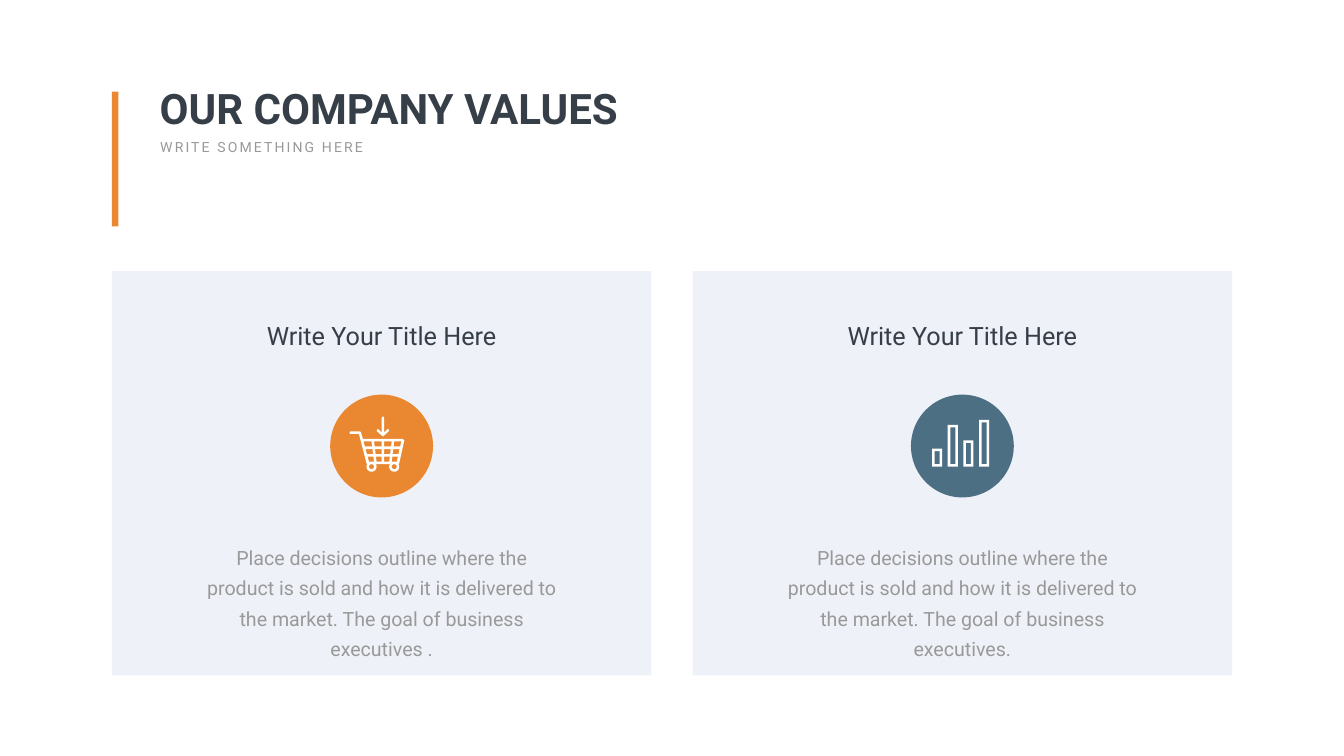
from math import cos, radians, sin
from pptx import Presentation
from pptx.dml.color import RGBColor
from pptx.enum.shapes import MSO_SHAPE
from pptx.enum.text import PP_ALIGN
from pptx.util import Inches, Pt

COLORS = {"ink": "363E48", "gray": "999999", "panel": "EFF1F8",
          "orange": "EA8831", "teal": "4D6F84", "white": "FFFFFF"}

BODY = ("Place decisions outline where the product is sold and how it is "
        "delivered to the market. The goal of business executives")
CARDS = [
    {"title": "Write Your Title Here", "body": BODY + " .",
     "color": "orange", "icon": "cart"},
    {"title": "Write Your Title Here", "body": BODY + ".",
     "color": "teal", "icon": "bars"},
]

STYLES = {
    "head": {"size": Pt(60), "bold": True, "color": "ink"},
    "sub": {"size": Pt(20), "color": "gray"},
    "title": {"size": Pt(36), "color": "ink"},
    "body": {"size": Pt(28), "color": "gray"},
}

# Card grid
LEFT, TOP, WIDE, HIGH, STEP = 2.22, 5.38, 10.7, 8.02, 11.52
DISC, DISC_TOP = 2.04, 7.83

# Icon parts, as offsets from the middle of the disc
FRAME = [(0.35, 0.34), (0.45, -0.11), (0.42, -0.14), (-0.37, -0.14),
         (-0.41, -0.27), (-0.43, -0.29), (-0.62, -0.29), (-0.64, -0.26),
         (-0.62, -0.24), (-0.45, -0.24), (-0.3, 0.34)]
ARROW = [(0.01, -0.2), (0.03, -0.19), (0.04, -0.2), (0.14, -0.29),
         (0.15, -0.32), (0.12, -0.34), (0.11, -0.33), (0.05, -0.27),
         (0.05, -0.56), (0.03, -0.59), (0, -0.56), (0, -0.27),
         (-0.06, -0.33), (-0.07, -0.34), (-0.1, -0.31), (-0.09, -0.29)]
ROWS = [(-0.09, 0.01), (0.06, 0.16), (0.21, 0.31)]
# Each column of the basket: left and right edge at its top, then its foot
COLS = [((-0.36, -0.2), (-0.25, -0.15)), ((-0.15, 0), (-0.1, 0)),
        ((0.05, 0.2), (0.05, 0.15)), ((0.25, 0.39), (0.2, 0.3))]
WHEELS, WHEEL_Y, TIRE, HUB = (-0.2, 0.25), 0.41, 0.1, 0.05
BAR_TALLS = [0.36, 0.83, 0.52, 0.93]
BAR_LEFT, BAR_BASE, BAR_WIDE, BAR_STEP, RIM = -0.6, 0.41, 0.2, 0.31, 0.05

deck = Presentation()
deck.slide_width, deck.slide_height = Inches(26.66), Inches(15)
slide = deck.slides.add_slide(deck.slide_layouts[6])
shapes = slide.shapes


def rgb(name):
    return RGBColor.from_string(COLORS[name])


def paint(shape, color):
    """Fill a shape and remove its outline and shadow."""
    shape.shadow.inherit = False
    shape.fill.solid()
    shape.fill.fore_color.rgb = rgb(color)
    shape.line.fill.background()


def add_block(kind, box, color):
    paint(shapes.add_shape(kind, *map(Inches, box)), color)


def add_text(text, box, style, align=PP_ALIGN.LEFT, pitch=None, track=None):
    frame = shapes.add_textbox(*map(Inches, box)).text_frame
    frame.word_wrap = True
    para = frame.paragraphs[0]
    para.alignment = align
    if pitch:
        para.line_spacing = Pt(pitch)
    run = para.add_run()
    run.text = text
    run.font.name = "Roboto"
    for key, value in STYLES[style].items():
        if key == "color":
            run.font.color.rgb = rgb(value)
        else:
            setattr(run.font, key, value)
    if track:
        run.font._element.set("spc", str(track * 100))


def arc(x, size, first, last):
    """Return points on a wheel, from one angle down to another."""
    return [(x + size * cos(radians(turn)), WHEEL_Y + size * sin(radians(turn)))
            for turn in range(first, last - 1, -15)]


def rect(left, top, right, foot):
    return [(left, top), (right, top), (right, foot), (left, foot)]


def cart_rings():
    frame = list(FRAME)
    for x in WHEELS:
        frame += arc(x, TIRE, 210, -30)
    rings = [frame, ARROW] + [arc(x, HUB, 345, 0) for x in WHEELS]
    high, low = ROWS[0][0], ROWS[-1][1]
    for head, foot in COLS:
        def edge(side, y):
            part = (y - high) / (low - high)
            return head[side] + (foot[side] - head[side]) * part, y

        rings += [[edge(0, top), edge(1, top), edge(1, end), edge(0, end)]
                  for top, end in ROWS]
    return rings


def bar_rings():
    rings = []
    for i, tall in enumerate(BAR_TALLS):
        left = BAR_LEFT + i * BAR_STEP
        right, top = left + BAR_WIDE, BAR_BASE - tall
        rings.append(rect(left, top, right, BAR_BASE))
        rings.append(rect(left + RIM, top + RIM, right - RIM, BAR_BASE - RIM))
    return rings


def add_icon(rings, mid_x, mid_y):
    """Draw all rings as one shape, inner rings being holes."""
    form = None
    for ring in rings:
        points = [(Inches(mid_x + x), Inches(mid_y + y)) for x, y in ring]
        if form is None:
            form = shapes.build_freeform(*points[0])
        else:
            form.move_to(*points[0])
        form.add_line_segments(points[1:], close=True)
    paint(form.convert_to_shape(), "white")


ICONS = {"cart": cart_rings, "bars": bar_rings}

add_text("OUR COMPANY VALUES", (3.07, 1.59, 10.39, 1.11), "head")
add_text("WRITE SOMETHING HERE", (3.08, 2.7, 4.35, 0.44), "sub", track=3)
add_block(MSO_SHAPE.RECTANGLE, (LEFT, 1.82, 0.13, 2.67), "orange")

for i, card in enumerate(CARDS):
    left = LEFT + i * STEP
    mid = left + WIDE / 2
    add_block(MSO_SHAPE.RECTANGLE, (left, TOP, WIDE, HIGH), "panel")
    add_text(card["title"], (mid - 2.7, 6.3, 5.4, 0.68), "title",
             PP_ALIGN.CENTER)
    add_text(card["body"], (mid - 3.68, 10.66, 7.36, 1.83), "body",
             PP_ALIGN.CENTER, pitch=43)
    add_block(MSO_SHAPE.OVAL, (mid - DISC / 2, DISC_TOP, DISC, DISC),
              card["color"])
    add_icon(ICONS[card["icon"]](), mid, DISC_TOP + DISC / 2)

deck.save("out.pptx")
